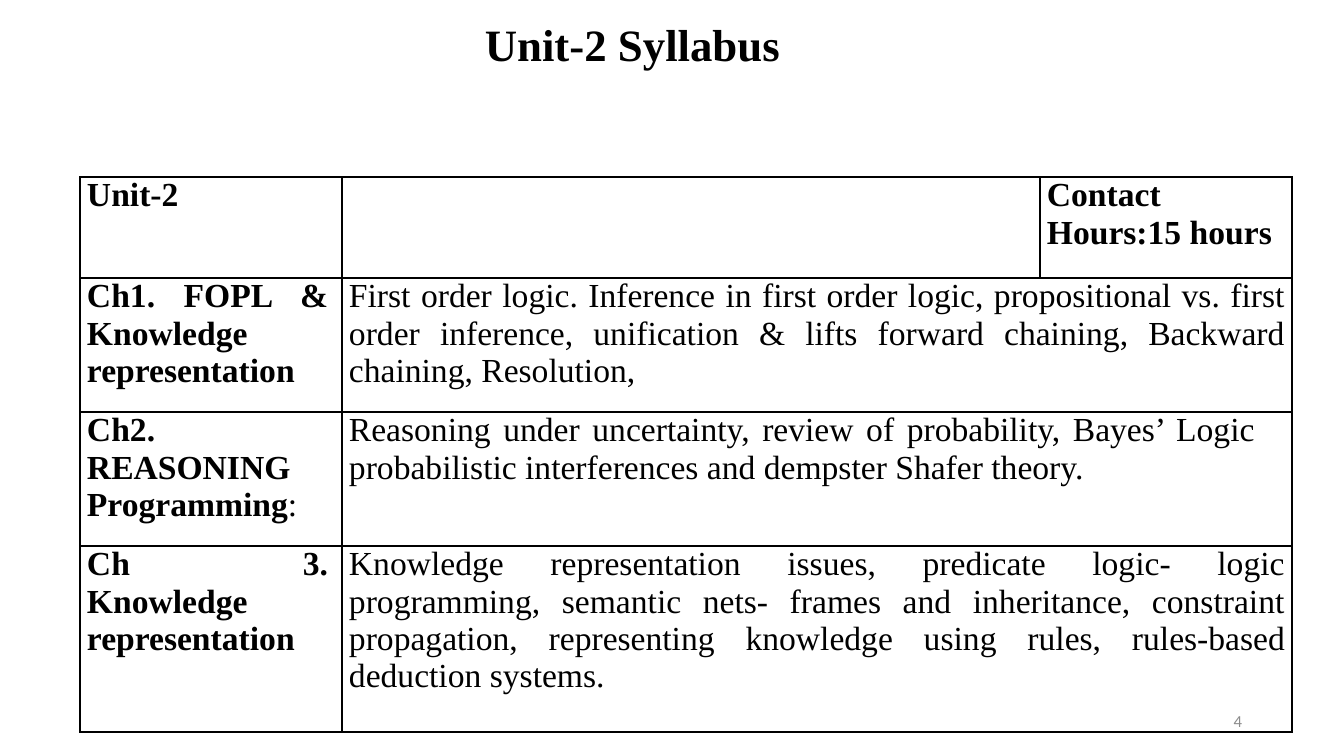
from collections import namedtuple
from dataclasses import dataclass

from lxml import etree
from pptx import Presentation
from pptx import util as u
from pptx.dml.color import RGBColor
from pptx.enum import text
from pptx.oxml.ns import qn

SCALE = 914400 / 100.8
Box = namedtuple("Box", "left top width height")


@dataclass(frozen=True)
class Theme:
    serif: str = "Times New Roman"
    sans: str = "Calibri"
    ink: str = "000000"
    muted: str = "8C8C8C"
    title: int = 32
    body: int = 24
    footer: int = 12
    rule: int = 1


THEME = Theme()
COLUMNS = [262, 698, 252]
ROWS = [101, 134, 134, 186]
INSET = 7
LABEL_INSET = 14
REASONING_INSET = 37

CHAPTERS = [
    ("Ch1. FOPL & Knowledge representation", "",
     "First order logic. Inference in first order logic, propositional vs. first order "
     "inference, unification & lifts forward chaining, Backward chaining, Resolution,", INSET),
    ("Ch2. REASONING Programming", ":",
     "Reasoning under uncertainty, review of probability, Bayes’ Logic probabilistic "
     "interferences and dempster Shafer theory.", REASONING_INSET),
    ("Ch 3. Knowledge representation", "",
     "Knowledge representation issues, predicate logic- logic programming, semantic nets- "
     "frames and inheritance, constraint propagation, representing knowledge using rules, "
     "rules-based deduction systems.", INSET),
]


def px(length):
    return u.Emu(round(length * SCALE))


def style(font, name, size, color, bold=False):
    font.name = name
    font.size = u.Pt(size)
    font.bold = bold
    font.color.rgb = RGBColor.from_string(color)


def add_label(page, box, words, align, name, size, color, bold=False):
    frame = page.shapes.add_textbox(*map(px, box)).text_frame
    frame.word_wrap = True
    frame.vertical_anchor = text.MSO_ANCHOR.MIDDLE
    para = frame.paragraphs[0]
    para.text = words
    para.alignment = align
    style(para.font, name, size, color, bold)
    return para


def add_title(page, box):
    para = add_label(page, box, "Unit-2 Syllabus", text.PP_ALIGN.CENTER,
                     THEME.serif, THEME.title, THEME.ink, True)
    para.line_spacing = 0.9


def add_page_number(page, box):
    add_label(page, box, "4", text.PP_ALIGN.RIGHT, THEME.sans, THEME.footer, THEME.muted)


def rule_cell(cell):
    cell.fill.background()
    properties = cell._tc.get_or_add_tcPr()
    for index, side in enumerate(("a:lnL", "a:lnR", "a:lnT", "a:lnB")):
        line = etree.Element(qn(side), w=str(u.Pt(THEME.rule)))
        fill = etree.SubElement(line, qn("a:solidFill"))
        etree.SubElement(fill, qn("a:srgbClr"), val=THEME.ink)
        properties.insert(index, line)


def write_cell(cell, words, bold=False, right=INSET, suffix=""):
    cell.margin_left, cell.margin_right = px(INSET), px(right)
    cell.margin_top = cell.margin_bottom = 0
    para = cell.text_frame.paragraphs[0]
    para.alignment = text.PP_ALIGN.JUSTIFY
    style(para.font, THEME.serif, THEME.body, THEME.ink, bold)
    para.add_run().text = words
    if suffix:
        span = para.add_run()
        span.text = suffix
        span.font.bold = False


def add_syllabus(page, box):
    table = page.shapes.add_table(len(ROWS), len(COLUMNS), *map(px, box)).table
    table.first_row = table.horz_banding = False
    for column, width in zip(table.columns, COLUMNS):
        column.width = px(width)
    for row, height in zip(table.rows, ROWS):
        row.height = px(height)
    for cell in table.iter_cells():
        rule_cell(cell)
    write_cell(table.cell(0, 0), "Unit-2", True)
    write_cell(table.cell(0, 2), "Contact Hours:15 hours", True)
    for index, (chapter, suffix, topics, right) in enumerate(CHAPTERS, 1):
        table.cell(index, 1).merge(table.cell(index, 2))
        write_cell(table.cell(index, 0), chapter, True, LABEL_INSET, suffix)
        write_cell(table.cell(index, 1), topics, right=right)


def build_syllabus_page(deck):
    page = deck.slides.add_slide(deck.slide_layouts[6])
    add_title(page, Box(53, 0, 1159, 95))
    add_page_number(page, Box(950, 701, 302, 40))
    add_syllabus(page, Box(80, 177, sum(COLUMNS), sum(ROWS)))


deck = Presentation()
deck.slide_width, deck.slide_height = px(1344), px(756)
build_syllabus_page(deck)
deck.save("out.pptx")
